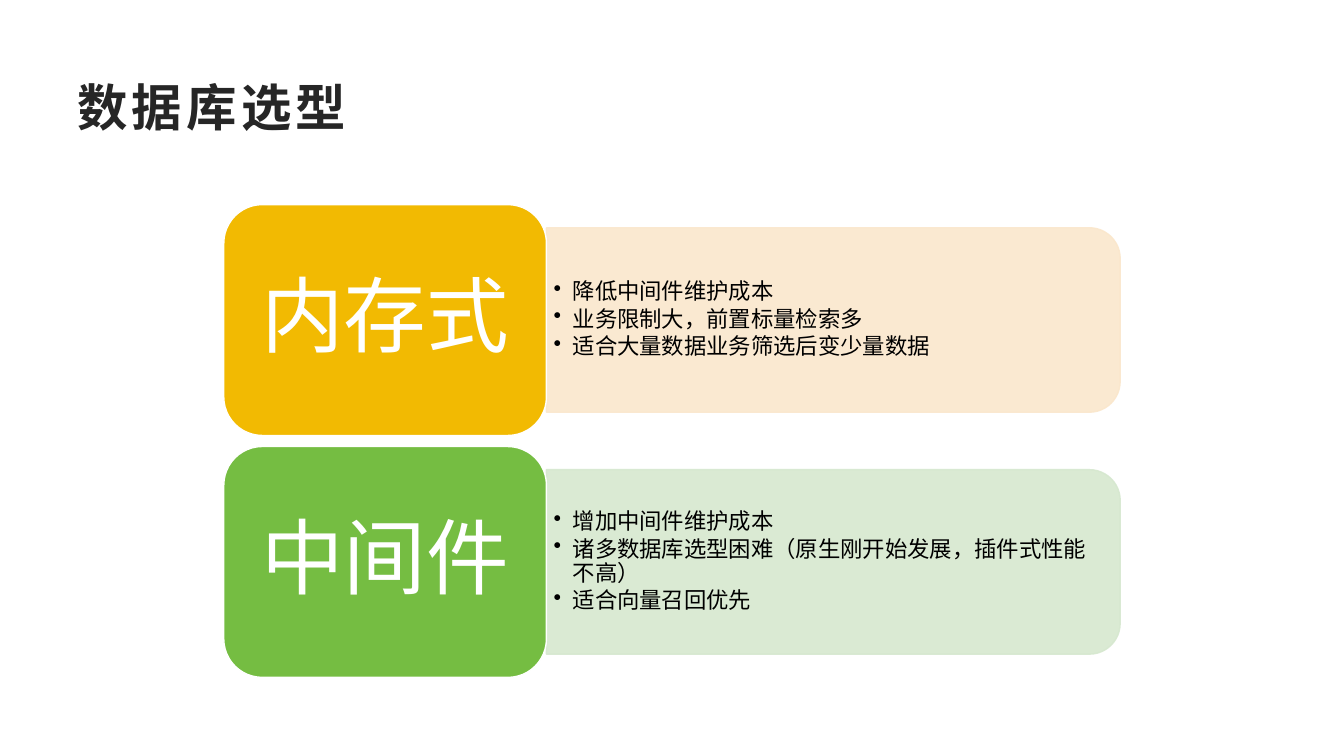
"""Build the database selection slide with two labelled option cards."""
from lxml.etree import SubElement
from pptx import Presentation
from pptx.dml.color import RGBColor
from pptx.enum.shapes import MSO_SHAPE as Shape
from pptx.enum.text import MSO_ANCHOR as Anchor, PP_ALIGN as Align
from pptx.oxml.ns import qn
from pptx.util import Inches, Pt

TITLE = "数据库选型"
OPTIONS = [
    {"label": "内存式", "card": "F2BA02", "panel": "FAE7CC",
     "points": ["降低中间件维护成本", "业务限制大，前置标量检索多",
                "适合大量数据业务筛选后变少量数据"]},
    {"label": "中间件", "card": "75BD42", "panel": "D6E8CF",
     "points": ["增加中间件维护成本",
                "诸多数据库选型困难（原生刚开始发展，插件式性能不高）",
                "适合向量召回优先"]},
]
THEME = {"font": "Arial", "title": "262626", "body": "000000", "light": "FFFFFF",
         "title_size": 36, "label_size": 59, "body_size": 16}

CARD_LEFT, CARD_TOP, CARD_WIDTH, CARD_HEIGHT = 2.22, 2.03, 3.2, 2.29
ROW_STEP = 2.4
PANEL_WIDTH, PANEL_HEIGHT = 5.69, 1.83
POINTS_WIDTH, POINTS_HEIGHT = 5.6, 1.65
BULLET_INDENT = 0.19


def write_text(shape, lines, *, size, color, insets, bold=False, align=Align.LEFT,
               line_spacing=None, space_after=0, tracking=None, bullet=None):
    """Fill a shape with formatted paragraphs."""
    frame = shape.text_frame
    frame.word_wrap = True
    frame.vertical_anchor = Anchor.MIDDLE
    frame.margin_left = frame.margin_right = Inches(insets[0])
    frame.margin_top = frame.margin_bottom = Inches(insets[1])
    for index, line in enumerate(lines):
        paragraph = frame.add_paragraph() if index else frame.paragraphs[0]
        paragraph.alignment = align
        paragraph.line_spacing = line_spacing
        paragraph.space_after = Pt(space_after)
        if bullet:
            properties = paragraph._p.get_or_add_pPr()
            properties.set("marL", str(Inches(BULLET_INDENT)))
            properties.set("indent", str(-Inches(BULLET_INDENT)))
            SubElement(properties, qn("a:buChar")).set("char", bullet)
        run = paragraph.add_run()
        run.text = line
        run.font.name = THEME["font"]
        run.font.size = Pt(size)
        run.font.bold = bold
        run.font.color.rgb = RGBColor.from_string(color)
        run_properties = run._r.get_or_add_rPr()
        SubElement(run_properties, qn("a:ea")).set("typeface", THEME["font"])
        if tracking:
            run_properties.set("spc", str(tracking * 100))


def add_text_box(slide, *box):
    """Add a text box measured in inches."""
    return slide.shapes.add_textbox(*map(Inches, box))


def add_block(slide, kind, box, fill, line, opacity=100):
    """Add a filled and outlined preset shape measured in inches."""
    shape = slide.shapes.add_shape(kind, *map(Inches, box))
    shape.shadow.inherit = False
    shape.fill.solid()
    shape.fill.fore_color.rgb = RGBColor.from_string(fill)
    shape.line.color.rgb = RGBColor.from_string(line)
    shape.line.width = Pt(1)
    if opacity < 100:
        for color in shape._element.spPr.iter(qn("a:srgbClr")):
            SubElement(color, qn("a:alpha")).set("val", str(opacity * 1000))
    return shape


def add_option(slide, option, top):
    """Add one option: its panel, points and label card."""
    middle = top + CARD_HEIGHT / 2
    panel_left = CARD_LEFT + CARD_WIDTH
    panel_center = panel_left + PANEL_WIDTH / 2
    panel_box = (panel_center - PANEL_HEIGHT / 2, middle - PANEL_WIDTH / 2,
                 PANEL_HEIGHT, PANEL_WIDTH)
    panel = add_block(slide, Shape.ROUND_2_SAME_RECTANGLE, panel_box,
                      option["panel"], option["panel"], opacity=90)
    panel.rotation = 90
    points = add_text_box(slide, panel_left, middle - POINTS_HEIGHT / 2,
                          POINTS_WIDTH, POINTS_HEIGHT)
    write_text(points, option["points"], size=THEME["body_size"], color=THEME["body"],
               insets=(0.07, 0.03), line_spacing=0.9, space_after=2.4, bullet="•")
    card = add_block(slide, Shape.ROUNDED_RECTANGLE,
                     (CARD_LEFT, top, CARD_WIDTH, CARD_HEIGHT),
                     option["card"], THEME["light"])
    write_text(card, [option["label"]], size=THEME["label_size"], color=THEME["light"],
               insets=(0.25, 0.12), align=Align.CENTER, line_spacing=0.9)


def main():
    """Create and save the presentation."""
    presentation = Presentation()
    presentation.slide_width = Inches(13.33)
    presentation.slide_height = Inches(7.5)
    slide = presentation.slides.add_slide(presentation.slide_layouts[6])
    title = add_text_box(slide, 0.67, 0.67, 12, 0.77)
    write_text(title, [TITLE], size=THEME["title_size"], color=THEME["title"],
               insets=(0.1, 0.05), bold=True, tracking=3)
    for row, option in enumerate(OPTIONS):
        add_option(slide, option, CARD_TOP + row * ROW_STEP)
    presentation.save("out.pptx")


if __name__ == "__main__":
    main()
